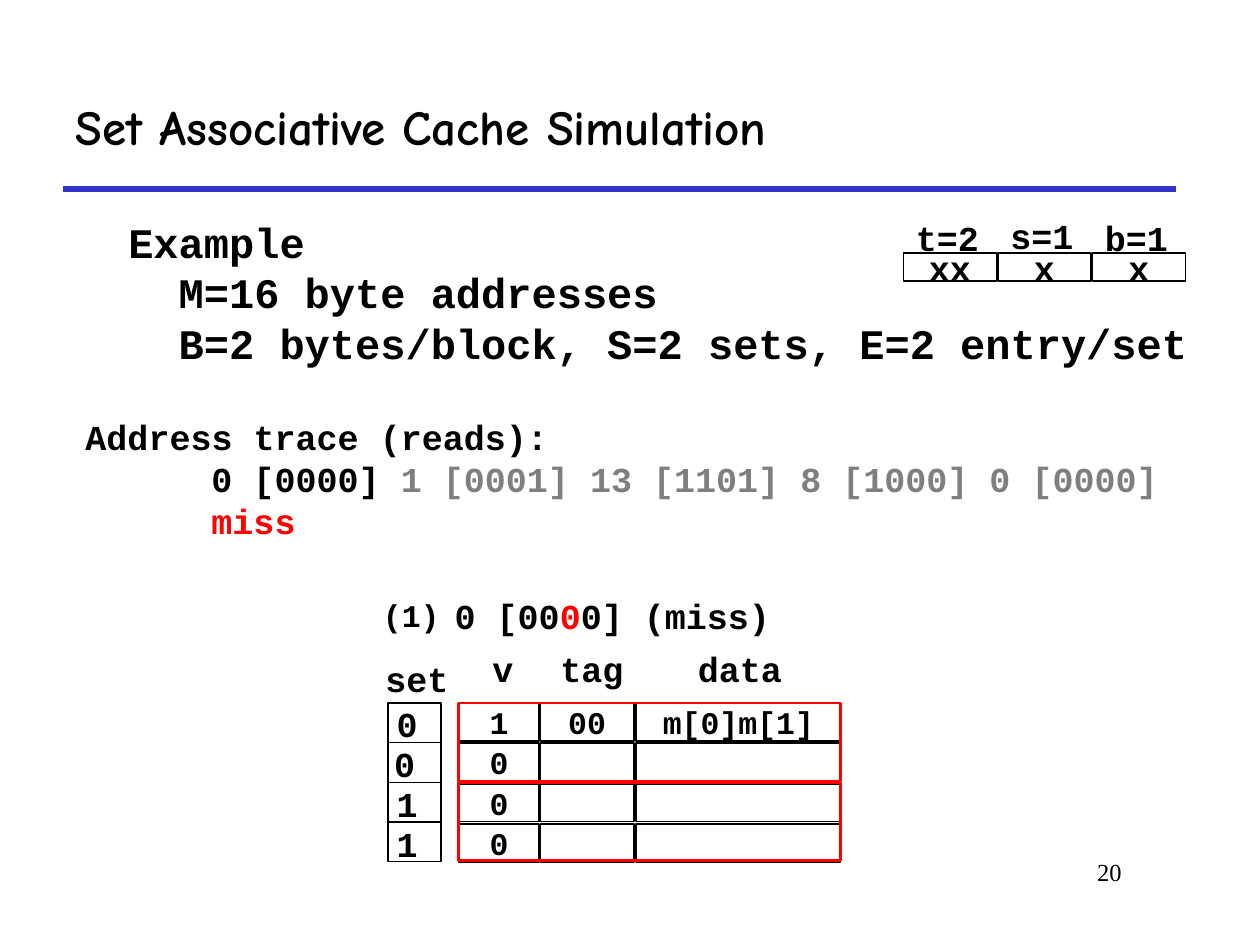
"""Build the set associative cache simulation slide."""
from lxml import etree
from pptx import Presentation
from pptx.dml.color import RGBColor
from pptx.enum import shapes, text
from pptx.oxml import ns
from pptx.util import Inches, Pt

BLACK = RGBColor(0x00, 0x00, 0x00)
WHITE = RGBColor(0xFF, 0xFF, 0xFF)
RED = RGBColor(0xFF, 0x00, 0x00)
GRAY = RGBColor(0x7F, 0x7F, 0x7F)
BLUE = RGBColor(0x33, 0x33, 0xCC)
MONO = "Courier New"

TITLE = "Set Associative Cache Simulation"
EXAMPLE = [
    (0, [("Example", BLACK)]),
    (0.4, [("M=16 byte addresses", BLACK)]),
    (0.4, [("B=2 bytes/block, S=2 sets, E=2 entry/set", BLACK)]),
]
TRACE = [
    (0, [("Address trace (reads):", BLACK)]),
    (1, [("0 [0000] ", BLACK), ("1 [0001] 13 [1101] 8 [1000] 0 [0000]", GRAY)]),
    (1, [("miss", RED)]),
]
ACCESS = [(0, [("0 [00", BLACK), ("0", RED), ("0] (miss)", BLACK)])]
ADDRESS_FIELDS = [("t=2", "xx", 1.67), ("s=1", "x", 1.65), ("b=1", "x", 1.67)]
CACHE_COLUMNS = [(3.64, 0.64), (4.29, 0.74), (5.05, 1.62)]
CACHE_HEADERS = [("v", 3.81, 0.37), ("tag", 4.35, 0.7), ("data", 5.44, 0.87)]
CACHE_ROWS = [("1", "00", "m[0]m[1]"), ("0", "", ""), ("0", "", ""), ("0", "", "")]
SET_LABELS = [("0", 3.05), ("0", 3.03), ("1", 3.05), ("1", 3.05)]
CACHE_TOP, CACHE_PITCH = 5.58, 0.32
SET_LEFT, SET_TOP, SET_WIDTH, SET_PITCH = 3.08, 5.58, 0.42, 0.315

presentation = Presentation()
presentation.slide_width, presentation.slide_height = Inches(10), Inches(7.5)
slide = presentation.slides.add_slide(presentation.slide_layouts[6])


def write(shape, content, size=20, font=MONO, bold=True, wrap=False,
          align=text.PP_ALIGN.LEFT, anchor=text.MSO_ANCHOR.TOP):
    """Fill a shape with a string or with (indent, runs) paragraphs."""
    paragraphs = [(0, [(content, BLACK)])] if isinstance(content, str) else content
    frame = shape.text_frame
    frame.word_wrap = wrap
    frame.vertical_anchor = anchor
    for index, (indent, runs) in enumerate(paragraphs):
        paragraph = frame.add_paragraph() if index else frame.paragraphs[0]
        paragraph.alignment = align
        if indent:
            properties = paragraph._p.get_or_add_pPr()
            properties.set("marL", str(Inches(indent)))
            properties.set("indent", "0")
        for words, color in runs:
            run = paragraph.add_run()
            run.text = words
            run.font.name = font
            run.font.size = Pt(size)
            run.font.bold = bold
            run.font.color.rgb = color


def add_text(content, left, top, width, height=0.43, **style):
    """Add a text box."""
    box = slide.shapes.add_textbox(
        Inches(left), Inches(top), Inches(width), Inches(height))
    write(box, content, **style)


def add_box(left, top, width, height, content="", fill=None, color=BLACK,
            weight=1, size=20):
    """Add an outlined rectangle with optional centred text."""
    shape = slide.shapes.add_shape(
        shapes.MSO_SHAPE.RECTANGLE,
        Inches(left), Inches(top), Inches(width), Inches(height))
    shape.shadow.inherit = False
    if fill is None:
        shape.fill.background()
    else:
        shape.fill.solid()
        shape.fill.fore_color.rgb = fill
    shape.line.color.rgb = color
    shape.line.width = Pt(weight)
    if content:
        write(shape, content, size=size, align=text.PP_ALIGN.CENTER,
              anchor=text.MSO_ANCHOR.MIDDLE)


def add_rule(left, right, y, color, weight):
    """Add a horizontal line."""
    line = slide.shapes.add_connector(
        shapes.MSO_CONNECTOR.STRAIGHT,
        Inches(left), Inches(y), Inches(right), Inches(y))
    line.line.color.rgb = color
    line.line.width = Pt(weight)
    etree.SubElement(line._element.spPr, ns.qn("a:effectLst"))


add_rule(0.5, 9.33, 1.5, BLUE, 3)
add_text("20", 7.58, 6.75, 1.42, 0.5, size=14, font="Times New Roman",
         bold=False, wrap=True, align=text.PP_ALIGN.RIGHT)
add_text(TITLE, 0.5, 0.5, 8.83, 1, size=28, font="Comic Neue", wrap=True,
         anchor=text.MSO_ANCHOR.MIDDLE)
add_text(EXAMPLE, 0.92, 1.67, 8.67, 1.33, size=24, wrap=True)
add_text(TRACE, 0.58, 3.25, 9.08, 1.1, wrap=True)

for column, (label, bits, label_top) in enumerate(ADDRESS_FIELDS):
    field_left = 7.17 + 0.75 * column
    add_box(field_left, 2.01, 0.74, 0.22, bits, fill=WHITE)
    add_text(label, field_left, label_top, 0.7)

add_text("(1)", 2.94, 4.68, 0.65, 0.4, size=18)
add_text(ACCESS, 3.51, 4.67, 3, wrap=True)
for header, left, width in CACHE_HEADERS:
    add_text(header, left, 5.09, width)
for row, values in enumerate(CACHE_ROWS):
    for value, (left, width) in zip(values, CACHE_COLUMNS):
        add_box(left, CACHE_TOP + CACHE_PITCH * row, width, 0.3, value,
                fill=WHITE, size=18)
for top in (5.58, 6.21):
    add_box(3.64, top, 3.03, 0.62, color=RED, weight=1.5)

add_text("set", 2.96, 5.17, 0.7, 0.44)
add_box(SET_LEFT, SET_TOP, SET_WIDTH, SET_PITCH * len(SET_LABELS), weight=0.75)
for row, (label, left) in enumerate(SET_LABELS):
    row_top = SET_TOP + SET_PITCH * row
    if row:
        add_rule(SET_LEFT, SET_LEFT + SET_WIDTH, row_top, BLACK, 0.75)
    add_text(label, left, row_top - 0.05, 0.36, 0.44)

presentation.save("out.pptx")
